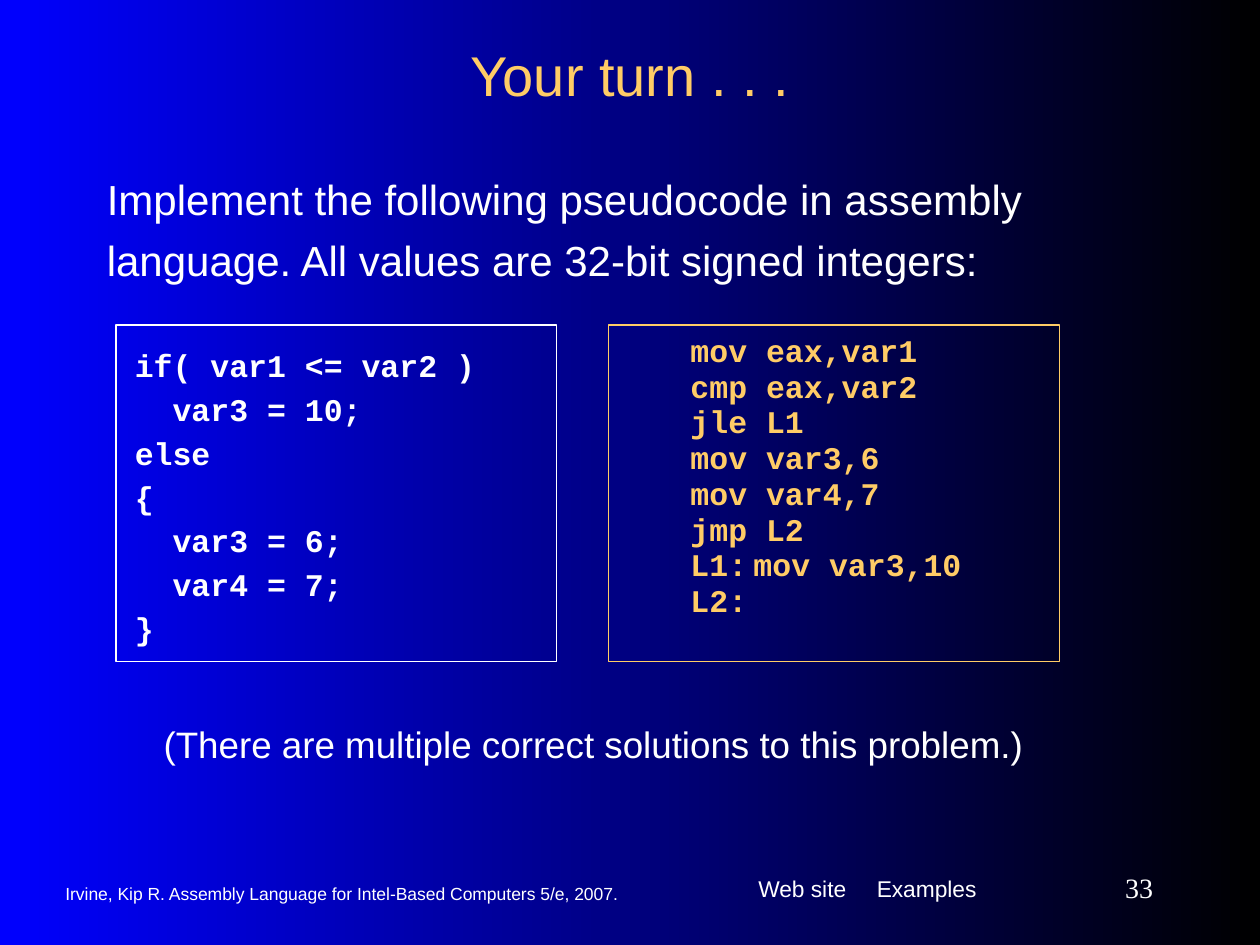
from pptx import Presentation
from pptx.dml.color import RGBColor
from pptx.enum.shapes import MSO_SHAPE as SHAPE
from pptx.enum.text import MSO_ANCHOR as ANCHOR, PP_ALIGN as ALIGN
from pptx.oxml.ns import qn
from pptx.util import Inches, Pt
from lxml.etree import SubElement

WHITE = RGBColor(0xFF, 0xFF, 0xFF)
GOLD = RGBColor(0xFF, 0xCC, 0x66)
BLUE = RGBColor(0x00, 0x00, 0xFF)
BLACK = RGBColor(0x00, 0x00, 0x00)

PSEUDOCODE = """if( var1 <= var2 )
  var3 = 10;
else
{
  var3 = 6;
  var4 = 7;
}"""
ASSEMBLY = """mov eax,var1
cmp eax,var2
jle L1
mov var3,6
mov var4,7
jmp L2
L1:\tmov var3,10
L2:"""


class SlideBuilder:
    """Holds the text style and the current slide."""

    def __init__(self, prs, font="Arial", code_font="Courier New"):
        self.slide = prs.slides.add_slide(prs.slide_layouts[6])
        self.font = font
        self.code_font = code_font

    def gradient(self, start, end):
        fill = self.slide.background.fill
        fill.gradient()
        fill.gradient_angle = 0
        for stop, position, color in zip(fill.gradient_stops, (0, 1), (start, end)):
            stop.position = position
            stop.color.rgb = color

    def add_lines(self, tf, lines, size, color, font, align=ALIGN.LEFT, bold=False,
                  spacing=1.0, before=0, tab=None):
        for i, line in enumerate(lines):
            p = tf.paragraphs[0] if i == 0 else tf.add_paragraph()
            p.add_run().text = line
            p.alignment = align
            p.line_spacing = spacing
            p.space_before = Pt(before if i else 0)
            if tab:
                tabs = SubElement(p._p.get_or_add_pPr(), qn("a:tabLst"))
                SubElement(tabs, qn("a:tab"), pos=str(Inches(tab)), algn="l")
            p.font.name = font
            p.font.size = Pt(size)
            p.font.bold = bold
            p.font.color.rgb = color

    def frame(self, sp, anchor, side, top):
        tf = sp.text_frame
        tf.word_wrap = True
        tf.vertical_anchor = anchor
        tf.margin_left = tf.margin_right = Inches(side)
        tf.margin_top = tf.margin_bottom = Inches(top)
        return tf

    def text(self, box, text, size, color=WHITE, font=None, anchor=ANCHOR.MIDDLE,
             inset=0.05, **style):
        sp = self.slide.shapes.add_textbox(*map(Inches, box))
        tf = self.frame(sp, anchor, 0.1, inset)
        self.add_lines(tf, [text], size, color, font or self.font, **style)

    def code(self, box, code, color, indent=0, **style):
        sp = self.slide.shapes.add_shape(SHAPE.RECTANGLE, *map(Inches, box))
        sp.shadow.inherit = False
        sp.fill.background()
        sp.line.color.rgb = color
        sp.line.width = Pt(0.75)
        tf = self.frame(sp, ANCHOR.TOP, 0.15, 0.2)
        tf.margin_left = Inches(0.15 + indent)
        self.add_lines(tf, code.splitlines(), 18, color, self.code_font, bold=True, **style)


def main():
    prs = Presentation()
    prs.slide_width, prs.slide_height = Inches(10), Inches(7.5)
    s = SlideBuilder(prs)
    s.gradient(BLUE, BLACK)
    s.text((5.92, 6.83, 2.25, 0.52), "Web site\tExamples", 13,
           anchor=ANCHOR.TOP, inset=0.15, tab=0.94)
    s.text((0.42, 6.93, 5.17, 0.33),
           "Irvine, Kip R. Assembly Language for Intel-Based Computers 5/e, 2007.", 10)
    s.text((8.17, 6.83, 1.08, 0.42), "33", 16, font="Times New Roman", align=ALIGN.RIGHT)
    s.text((0.75, 0.25, 8.5, 0.67), "Your turn . . .", 32, GOLD, align=ALIGN.CENTER)
    s.text((0.75, 1.25, 8.5, 1.33),
           "Implement the following pseudocode in assembly language. "
           "All values are 32-bit signed integers:",
           24, anchor=ANCHOR.TOP, spacing=1.2)
    s.code((4.83, 2.58, 3.58, 2.67), ASSEMBLY, GOLD, indent=0.5,
           spacing=0.4, before=11.8, tab=0.5)
    s.code((0.92, 2.58, 3.5, 2.67), PSEUDOCODE, WHITE, spacing=0.9, before=5.6)
    s.text((0.75, 5.58, 7.92, 0.65),
           "(There are multiple correct solutions to this problem.)",
           21, anchor=ANCHOR.TOP, inset=0.15, align=ALIGN.CENTER)
    prs.save("out.pptx")


if __name__ == "__main__":
    main()
